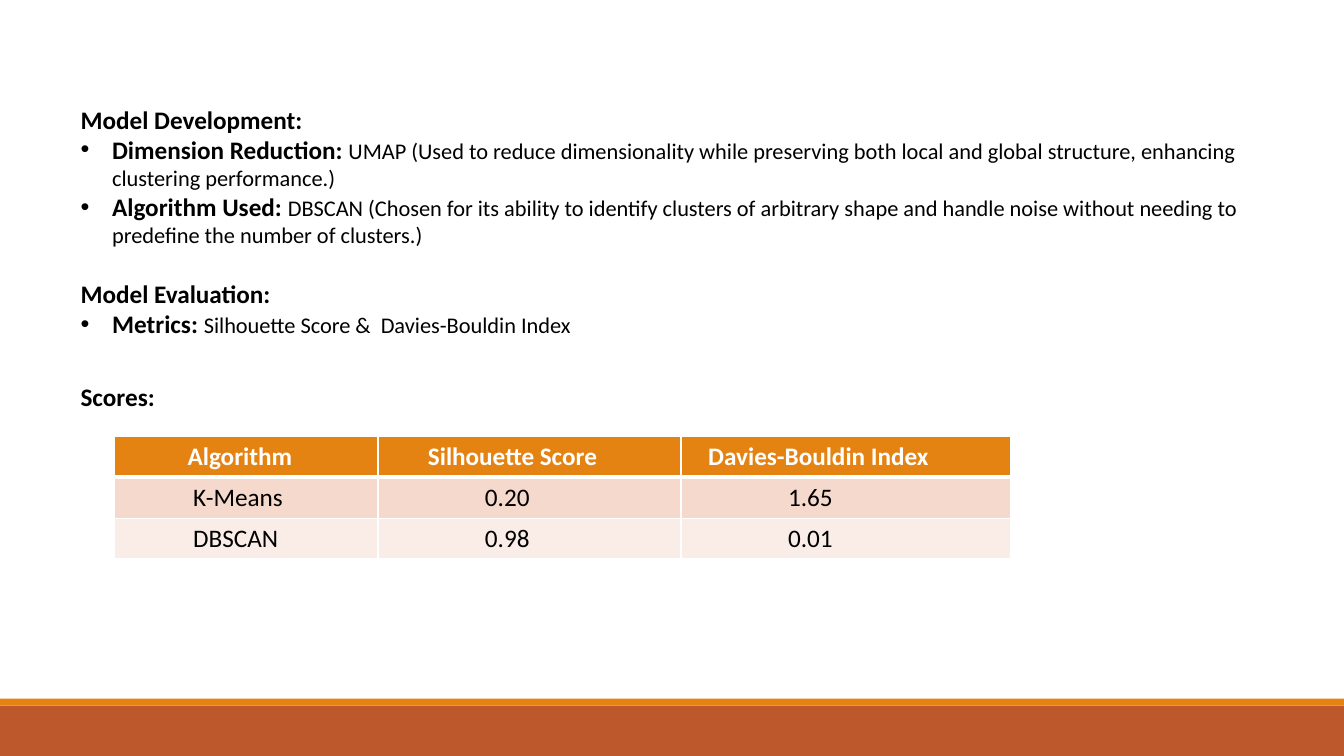
from lxml.etree import SubElement
from pptx import Presentation
from pptx.dml.color import RGBColor as Rgb
from pptx.enum.shapes import MSO_SHAPE as Preset
from pptx.oxml import parse_xml
from pptx.oxml.ns import nsdecls, qn
from pptx.util import Pt

ORANGE = Rgb(0xE4, 0x83, 0x12)
RUST = Rgb(0xBD, 0x58, 0x2C)
PEACH = Rgb(0xF5, 0xD9, 0xCC)
PALE_PEACH = Rgb(0xFA, 0xED, 0xE7)
BLACK = Rgb(0, 0, 0)
WHITE = Rgb(255, 255, 255)

SLIDE_WIDTH, SLIDE_HEIGHT = 960, 540
BULLET_INDENT = 22.5
LABEL = {"name": "Calibri", "size": Pt(18), "bold": True}
DETAIL = {"name": "Calibri", "size": Pt(16), "bold": False}
HEADER = LABEL
SCORE = {**LABEL, "bold": False}

OUTLINE = [
    ("Model Development:", "", {"line_spacing": 2.0}),
    ("Dimension Reduction: ",
     "UMAP (Used to reduce dimensionality while preserving both local and "
     "global structure, enhancing clustering performance.)", {}),
    ("Algorithm Used: ",
     "DBSCAN (Chosen for its ability to identify clusters of arbitrary shape and "
     "handle noise without needing to predefine the number of clusters.)", {}),
    ("Model Evaluation:", "", {"line_spacing": 2.0}),
    ("Metrics: ", "Silhouette Score &  Davies-Bouldin Index", {}),
    ("Scores:", "", {"line_spacing": 1.5, "space_before": Pt(19.5)}),
]
SCORES = [
    ("Algorithm", "Silhouette Score", "Davies-Bouldin Index"),
    ("K-Means", "0.20", "1.65"),
    ("DBSCAN", "0.98", "0.01"),
]
COLUMN_WIDTHS = (188, 216.5, 235.5)
HEADER_INSETS = (52, 35.7, 19.4)
SCORE_INSETS = (56, 76.4, 76.4)
ROW_FILLS = (ORANGE, PEACH, PALE_PEACH)


def apply(target, values):
    for attribute, value in values.items():
        setattr(target, attribute, value)


def write(paragraph, words, font, color):
    run = paragraph.add_run()
    run.text = words
    apply(run.font, font)
    run.font.color.rgb = color


def add_bullet(paragraph):
    properties = paragraph._p.get_or_add_pPr()
    properties.set("marL", str(Pt(BULLET_INDENT)))
    properties.set("indent", str(-Pt(BULLET_INDENT)))
    SubElement(properties, qn("a:buFont")).set("typeface", "Arial")
    SubElement(properties, qn("a:buChar")).set("char", "•")


def add_footer(slide, left, top, width, height):
    stripe = 5
    for bar_top, bar_height, color in (
        (top + stripe, height - stripe, RUST),
        (top, stripe, ORANGE),
    ):
        bar = slide.shapes.add_shape(
            Preset.RECTANGLE, Pt(left), Pt(bar_top), Pt(width), Pt(bar_height))
        bar.shadow.inherit = False
        bar.fill.solid()
        bar.fill.fore_color.rgb = color
        bar.line.fill.background()


def add_outline(slide, left, top, width, height):
    frame = slide.shapes.add_textbox(
        Pt(left), Pt(top), Pt(width), Pt(height)).text_frame
    frame.word_wrap = True
    for number, (label, detail, spacing) in enumerate(OUTLINE):
        paragraph = frame.add_paragraph() if number else frame.paragraphs[0]
        apply(paragraph, spacing)
        write(paragraph, label, LABEL, BLACK)
        if detail:
            add_bullet(paragraph)
            write(paragraph, detail, DETAIL, BLACK)


def add_borders(cell, top, bottom):
    properties = cell._tc.get_or_add_tcPr()
    sides = {"lnL": 1, "lnR": 1, "lnT": top, "lnB": bottom}
    for position, (side, weight) in enumerate(sides.items()):
        properties.insert(position, parse_xml(
            f'<a:{side} {nsdecls("a")} w="{Pt(weight)}"><a:solidFill>'
            f'<a:srgbClr val="{WHITE}"/></a:solidFill></a:{side}>'))


def add_scores(slide, left, top, width, height):
    table = slide.shapes.add_table(
        len(SCORES), len(COLUMN_WIDTHS),
        Pt(left), Pt(top), Pt(width), Pt(height)).table
    table.horz_banding = False
    for column, column_width in zip(table.columns, COLUMN_WIDTHS):
        column.width = Pt(column_width)
    for r, entries in enumerate(SCORES):
        table.rows[r].height = Pt(height / len(SCORES))
        insets, font, color = (
            (SCORE_INSETS, SCORE, BLACK) if r else (HEADER_INSETS, HEADER, WHITE))
        for c, entry in enumerate(entries):
            cell = table.cell(r, c)
            cell.margin_left = Pt(insets[c])
            cell.fill.solid()
            cell.fill.fore_color.rgb = ROW_FILLS[r]
            add_borders(cell, 3 if r == 1 else 1, 3 if r == 0 else 1)
            write(cell.text_frame.paragraphs[0], entry, font, color)


def main():
    deck = Presentation()
    apply(deck, {"slide_width": Pt(SLIDE_WIDTH), "slide_height": Pt(SLIDE_HEIGHT)})
    slide = deck.slides.add_slide(deck.slide_layouts[6])
    add_footer(slide, 0, 499, SLIDE_WIDTH, 41)
    add_outline(slide, 50.5, 49, 849.5, 294.5)
    add_scores(slide, 82, 311.75, sum(COLUMN_WIDTHS), 87.6)
    deck.save("out.pptx")


if __name__ == "__main__":
    main()
